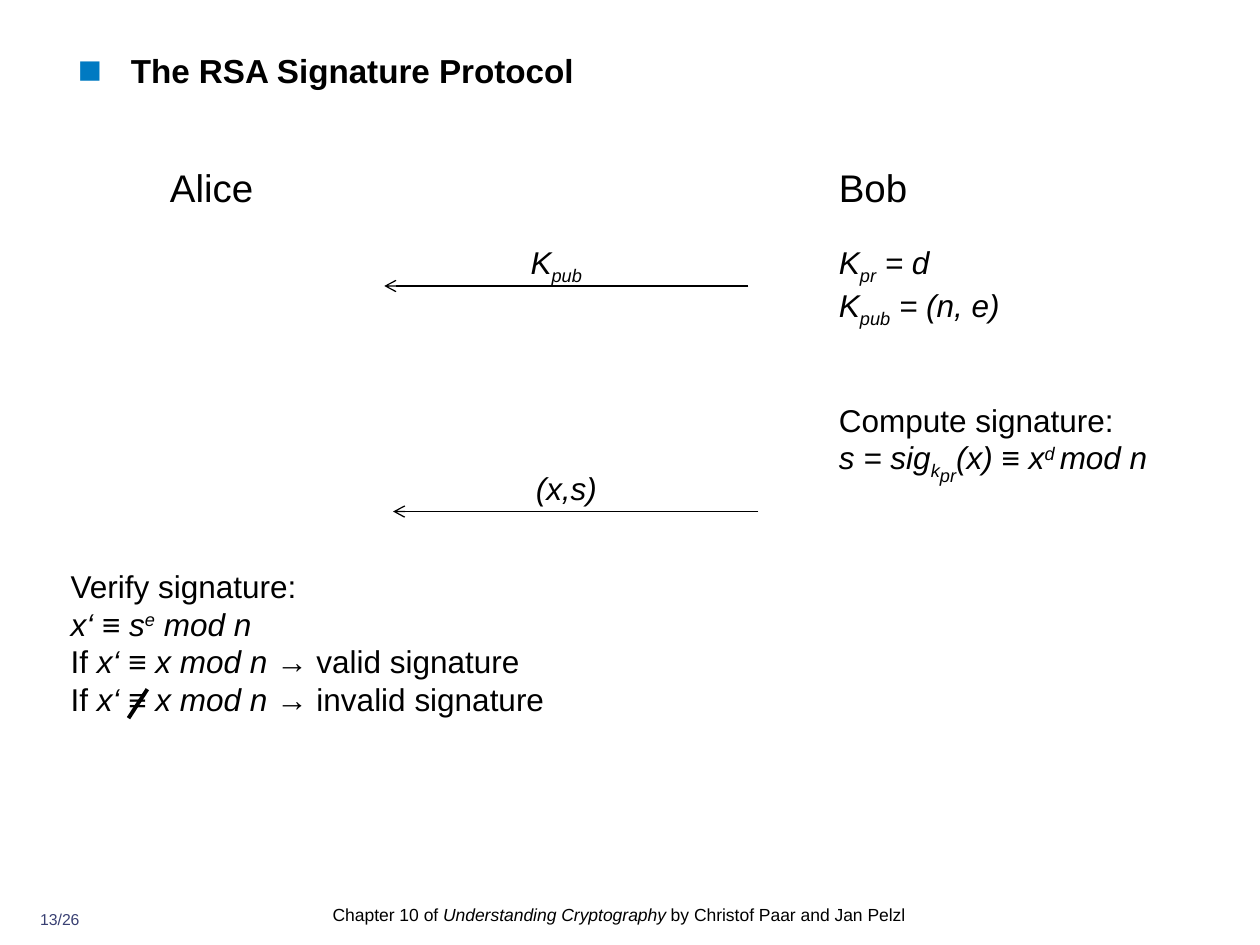
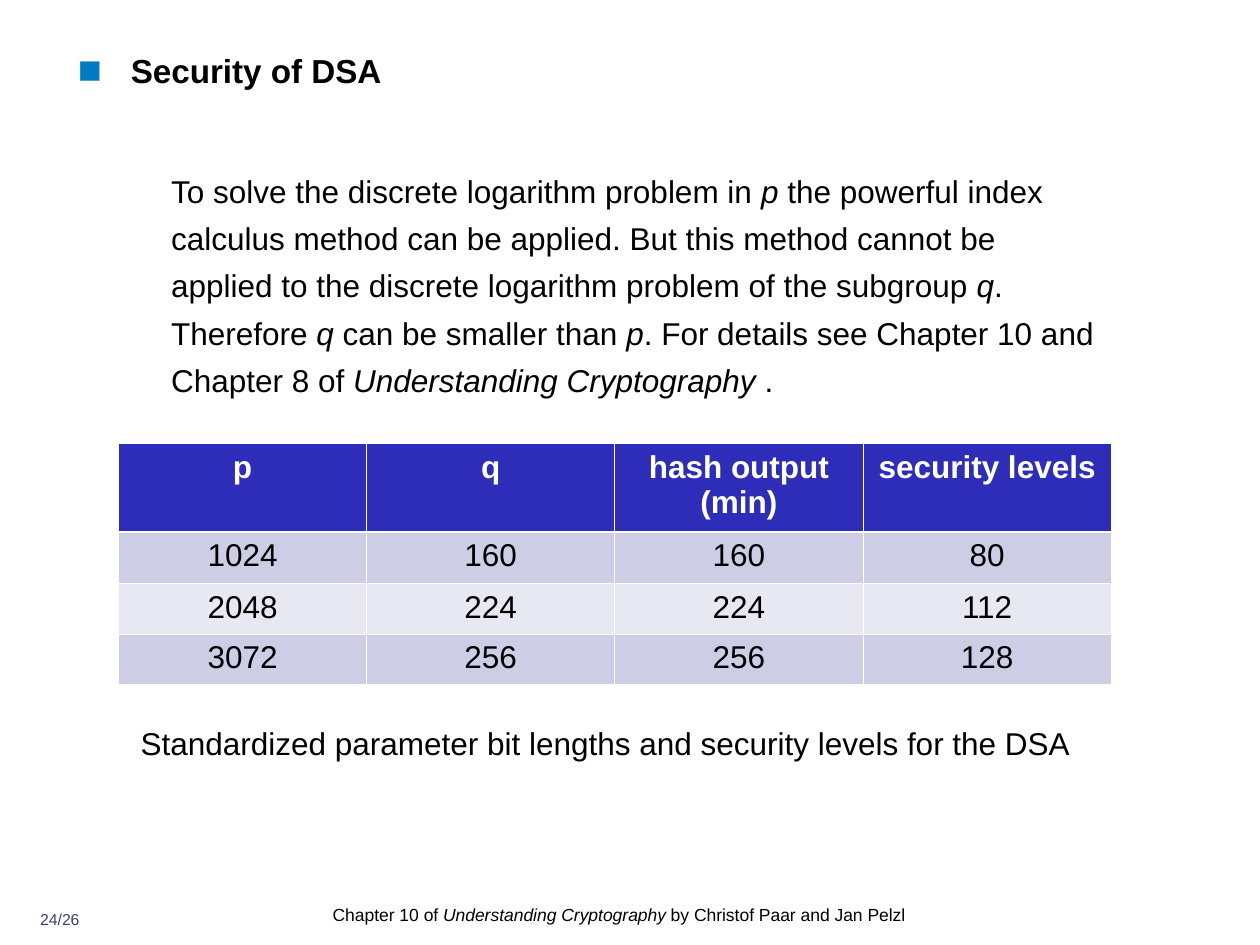
import pptx
import pptx.dml.color
import pptx.enum.shapes
import pptx.enum.text
import pptx.oxml.ns
import pptx.util
from lxml import etree

PX = 9144
FONT = "Arial"
COLORS = {
    "text": "000000",
    "page_number": "394073",
    "bullet": "007AC2",
    "header": "2D2DB9",
    "band_dark": "CDCDE6",
    "band_light": "E8E8F3",
    "white": "FFFFFF",
}
LEFT = pptx.enum.text.PP_ALIGN.LEFT
CENTER = pptx.enum.text.PP_ALIGN.CENTER


def px(length):
    return pptx.util.Emu(length * PX)


def rgb(name):
    return pptx.dml.color.RGBColor.from_string(COLORS[name])


def add_element(parent, tag, **attributes):
    return etree.SubElement(parent, pptx.oxml.ns.qn(tag), **attributes)


def italic(text, shift=0):
    return text, True, shift


def write_paragraph(para, spans, size=18, color="text", bold=False, align=LEFT, spacing=None):
    para.alignment = align
    if spacing:
        para.line_spacing = spacing
    for part in spans:
        text, slanted, shift = (part, False, 0) if isinstance(part, str) else part
        span = para.add_run()
        span.text = text
        span.font.name = FONT
        span.font.size = pptx.util.Pt(size)
        span.font.bold = bold
        span.font.italic = slanted
        span.font.color.rgb = rgb(color)
        if shift:
            span._r.get_or_add_rPr().set("baseline", str(shift * 1000))


def add_text(page, place, paragraphs, insets=(10, 5, 10, 5), **formatting):
    box = page.shapes.add_textbox(*map(px, place))
    frame = box.text_frame
    frame.word_wrap = True
    frame.margin_left, frame.margin_top, frame.margin_right, frame.margin_bottom = map(px, insets)
    for index, spans in enumerate(paragraphs):
        para = frame.add_paragraph() if index else frame.paragraphs[0]
        write_paragraph(para, spans, **formatting)
    return box


def set_indent(para, margin, first_line=0):
    properties = para._p.get_or_add_pPr()
    properties.set("marL", str(margin * PX))
    properties.set("indent", str(first_line * PX))
    return properties


def add_title(page, title):
    box = add_text(page, (52, 35, 707, 56), [[title]], size=19, bold=True)
    properties = set_indent(box.text_frame.paragraphs[0], 42, -42)
    bullet_color = add_element(properties, "a:buClr")
    add_element(bullet_color, "a:srgbClr", val=COLORS["bullet"])
    add_element(properties, "a:buSzPct", val="120000")
    add_element(properties, "a:buFont", typeface=FONT)
    add_element(properties, "a:buChar", char="■")


def add_footer(page, number):
    flush = (0, 0, 0, 0)
    add_text(page, (20, 722, 55, 24), [[number]], flush, size=9, color="page_number", align=CENTER)
    credit = ["Chapter 10 of ", italic("Understanding Cryptography"),
              " by Christof Paar and Jan Pelzl"]
    add_text(page, (264, 714, 473, 28), [credit], flush, size=10, spacing=1.2)


def add_page(deck, title, number):
    page = deck.slides.add_slide(deck.slide_layouts[6])
    add_footer(page, number)
    add_title(page, title)
    return page


def add_line(page, start, end, width=0.75, arrow=False):
    line = page.shapes.add_connector(
        pptx.enum.shapes.MSO_CONNECTOR.STRAIGHT, *map(px, start + end))
    line.line.color.rgb = rgb("text")
    line.line.width = pptx.util.Pt(width)
    if arrow:
        add_element(line.line._get_or_add_ln(), "a:tailEnd", type="arrow")
    add_element(line._element.spPr, "a:effectLst")


def set_borders(cell, **widths):
    properties = cell._tc.get_or_add_tcPr()
    for side in "LRTB":
        width = pptx.util.Pt(widths.get(side, 0.45))
        border = add_element(properties, "a:ln" + side, w=str(width))
        fill = add_element(border, "a:solidFill")
        add_element(fill, "a:srgbClr", val=COLORS["white"])


def add_table(page, place, heights, rows):
    table = page.shapes.add_table(len(rows), len(rows[0]), *map(px, place)).table
    table.horz_banding = False
    for row_index, (height, texts) in enumerate(zip(heights, rows)):
        table.rows[row_index].height = px(height)
        header = row_index == 0
        fill = "header" if header else ("band_light", "band_dark")[row_index % 2]
        widths = {0: {"B": 1.47}, 1: {"T": 1.47}}.get(row_index, {})
        for column_index, text in enumerate(texts):
            cell = table.cell(row_index, column_index)
            set_borders(cell, **widths)
            cell.fill.solid()
            cell.fill.fore_color.rgb = rgb(fill)
            write_paragraph(cell.text_frame.paragraphs[0], [text], align=CENTER,
                            bold=header, color="white" if header else "text")


def build_protocol(deck):
    page = add_page(deck, "The RSA Signature Protocol", "13/26")
    add_text(page, (125, 125, 102, 47), [["Alice"]], size=22)
    add_text(page, (656, 125, 203, 47), [["Bob"]], size=22)
    add_line(page, (594, 227), (305, 227), arrow=True)
    add_line(page, (602, 406), (312, 406), arrow=True)
    add_text(page, (656, 188, 266, 78), [
        [italic("K"), italic("pr", -25), italic(" = d")],
        [italic("K"), italic("pub", -25), italic(" = (n, e)")],
    ])
    add_text(page, (656, 313, 273, 78), [
        ["Compute signature:"],
        [italic("s = sig"), italic("k", -25), italic("pr", -40), italic("(x) ≡ x"),
         italic("d ", 30), italic("mod n")],
    ])
    add_text(page, (344, 188, 195, 44), [[italic("K"), italic("pub", -25)]], align=CENTER)
    add_text(page, (352, 367, 195, 40), [[italic("(x,s)")]], align=CENTER)
    check = italic("x‘ ≡ x mod n ")
    add_text(page, (39, 445, 578, 130), [
        ["Verify signature:"],
        [italic("x‘ ≡ s"), italic("e", 30), italic(" mod n")],
        ["If ", check, "→ valid signature"],
        ["If ", check, "→ invalid signature"],
    ], insets=(17, 5, 10, 5))
    add_line(page, (117, 547), (102, 570), width=2.25)


def build_security(deck):
    page = add_page(deck, "Security of DSA", "24/26")
    p, q = italic("p"), italic("q")
    body = add_text(page, (93, 124, 790, 548), [[
        "To solve the discrete logarithm problem in ", p,
        " the powerful index calculus method can be applied. But this method cannot be "
        "applied to the discrete logarithm problem of the subgroup ", q,
        ". Therefore ", q, " can be smaller than ", p,
        ". For details see Chapter 10 and Chapter 8 of ",
        italic("Understanding Cryptography"), " .",
    ]], spacing=1.25)
    set_indent(body.text_frame.paragraphs[0], 33)
    add_table(page, (94, 352, 788, 191), (70, 41, 40, 40), [
        ("p", "q", "hash output (min)", "security levels"),
        ("1024", "160", "160", "80"),
        ("2048", "224", "224", "112"),
        ("3072", "256", "256", "128"),
    ])
    add_text(page, (78, 570, 805, 40),
             [["Standardized parameter bit lengths and security levels for the DSA"]],
             align=CENTER)


def main():
    deck = pptx.Presentation()
    deck.slide_width, deck.slide_height = px(1000), px(750)
    build_protocol(deck)
    build_security(deck)
    deck.save("out.pptx")


if __name__ == "__main__":
    main()
